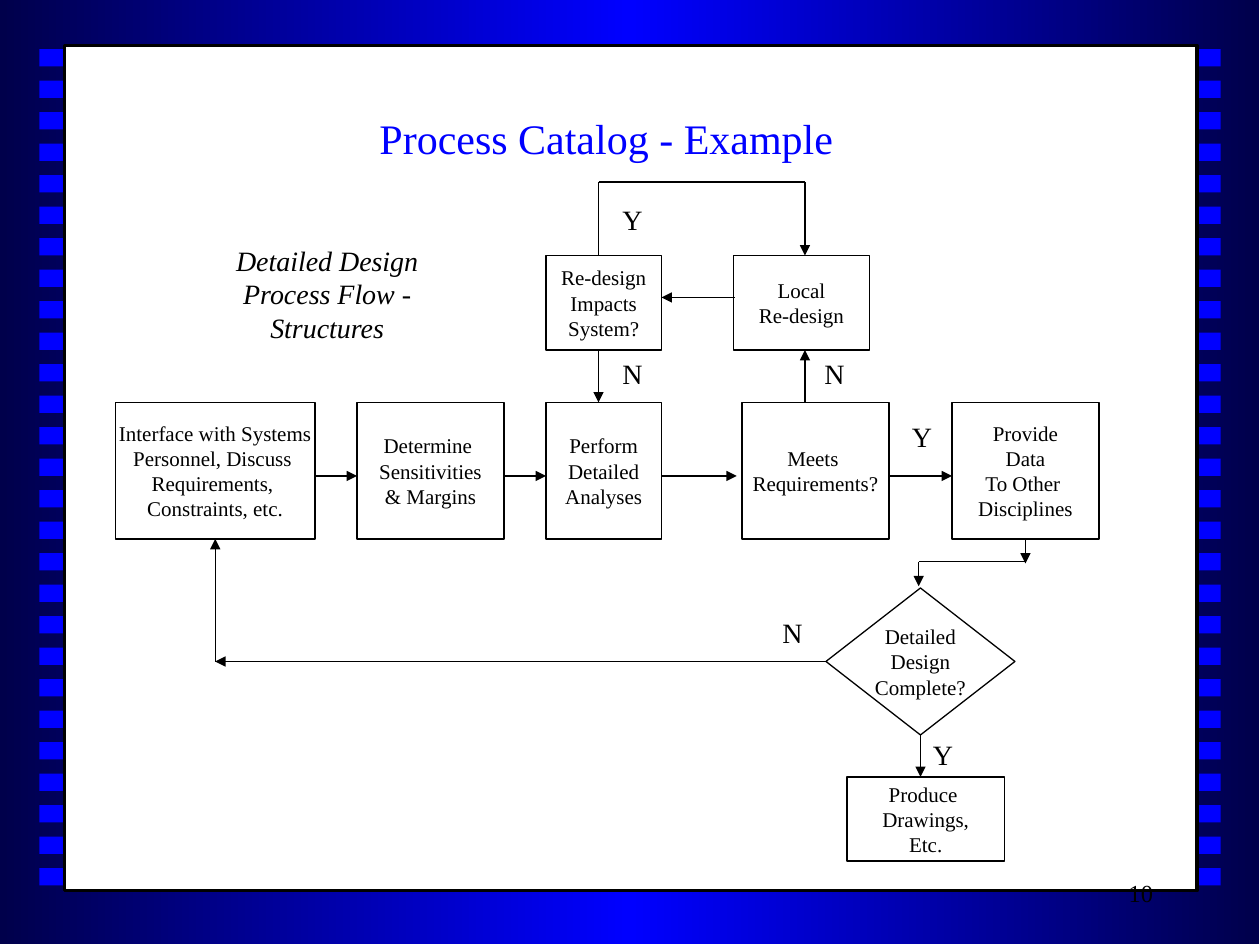
"""Build the process catalog slide with its detailed design flow chart."""
from copy import deepcopy

from lxml.etree import SubElement
from pptx import Presentation
from pptx.dml.color import RGBColor
from pptx.enum.shapes import MSO_CONNECTOR, MSO_SHAPE
from pptx.enum.text import MSO_ANCHOR, MSO_AUTO_SIZE, PP_ALIGN
from pptx.oxml import parse_xml
from pptx.oxml.ns import nsdecls, qn
from pptx.util import Pt

NAVY = RGBColor(0x00, 0x00, 0x4B)
BLUE = RGBColor(0x00, 0x00, 0xFF)
WHITE = RGBColor(0xFF, 0xFF, 0xFF)
BLACK = RGBColor(0x00, 0x00, 0x00)


def add_box(kind, x, y, w, h, fill=None, line=None):
    sp = s.shapes.add_shape(kind, Pt(x), Pt(y), Pt(w), Pt(h))
    sp.shadow.inherit = False
    if fill is None:
        sp.fill.background()
    else:
        sp.fill.solid()
        sp.fill.fore_color.rgb = fill
    if line is None:
        sp.line.fill.background()
    else:
        sp.line.color.rgb = BLACK
        sp.line.width = Pt(line)
    return sp


def write(sp, text, align, size, color=BLACK, italic=None, **frame):
    tf = sp.text_frame
    tf.text = text
    for name, value in frame.items():
        setattr(tf, name, value)
    fmt = {"name": "Times New Roman", "size": Pt(size), "italic": italic}
    for p in tf.paragraphs:
        p.alignment = align
        for r in p.runs:
            r.font.color.rgb = color
            for name, value in fmt.items():
                setattr(r.font, name, value)
    return tf


prs = Presentation()
prs.slide_width, prs.slide_height = Pt(720), Pt(540)
s = prs.slides.add_slide(prs.slide_layouts[6])

backdrop = add_box(MSO_SHAPE.RECTANGLE, 0, 0, 719.5, 539.5)
backdrop.fill.gradient()
backdrop.fill.gradient_angle = 0
first = backdrop.fill.gradient_stops[0]._gs
first.addnext(deepcopy(first))
for stop, (pos, color) in zip(backdrop.fill.gradient_stops, [(0, NAVY), (0.5, BLUE), (1, NAVY)]):
    stop.position = pos
    stop.color.rgb = color

for i in range(27):
    add_box(MSO_SHAPE.RECTANGLE, 22.5, 28 + 18 * i, 675, 10, BLUE)
add_box(MSO_SHAPE.RECTANGLE, 37, 26, 647, 483, WHITE, 2)

title = s.shapes.add_textbox(Pt(126), Pt(32), Pt(441), Pt(64.5))
tf = write(title, "Process Catalog - Example", PP_ALIGN.CENTER, 24, BLUE,
           word_wrap=True, vertical_anchor=MSO_ANCHOR.BOTTOM)
rPr = tf.paragraphs[0].runs[0].font._element
rPr.find(qn("a:solidFill")).addnext(parse_xml(
    f'<a:effectLst {nsdecls("a")}><a:outerShdw dist="17961" dir="2700000">'
    '<a:srgbClr val="000000"/></a:outerShdw></a:effectLst>'))

ROW_Y, ROW_H = 230, 78
TOP_Y, TOP_H = 146, 54
steps = {
    "interface": (66, ROW_Y, 114, ROW_H, "Interface with Systems\nPersonnel, Discuss \nRequirements, \nConstraints, etc."),
    "determine": (204, ROW_Y, 84, ROW_H, "Determine \nSensitivities\n& Margins"),
    "perform": (312, ROW_Y, 66, ROW_H, "Perform\nDetailed\nAnalyses"),
    "meets": (424, ROW_Y, 84, ROW_H, "Meets \nRequirements?"),
    "provide": (544, ROW_Y, 84, ROW_H, "Provide\nData\nTo Other \nDisciplines"),
    "impacts": (312, TOP_Y, 66, TOP_H, "Re-design\nImpacts\nSystem?"),
    "local": (419, TOP_Y, 78, TOP_H, "Local\nRe-design"),
    "complete": (472, 336, 108, 84, "Detailed\nDesign\nComplete?"),
    "produce": (484, 444, 90, 48, "Produce \nDrawings,\nEtc."),
}
boxes = {}
for key, (x, y, w, h, text) in steps.items():
    kind = MSO_SHAPE.DIAMOND if key == "complete" else MSO_SHAPE.RECTANGLE
    boxes[key] = add_box(kind, x, y, w, h, line=0.75)
    write(boxes[key], text, PP_ALIGN.CENTER, 12,
          word_wrap=False, vertical_anchor=MSO_ANCHOR.MIDDLE)

FLOW_Y = 272
LEFT_X, RIGHT_X, LOOP_Y = 342, 460, 104
lines = [
    (180, FLOW_Y, 204, FLOW_Y, True, None, None),
    (288, FLOW_Y, 312, FLOW_Y, True, None, None),
    (378, FLOW_Y, 421, FLOW_Y, True, None, None),
    (508, FLOW_Y, 544, FLOW_Y, True, None, None),
    (RIGHT_X, 230, RIGHT_X, 200, True, None, None),
    (420, 170, 378, 170, True, None, None),
    (LEFT_X, 146, LEFT_X, LOOP_Y, False, None, None),
    (LEFT_X, LOOP_Y, RIGHT_X, LOOP_Y, False, None, None),
    (RIGHT_X, LOOP_Y, RIGHT_X, 146, True, None, None),
    (LEFT_X, 200, LEFT_X, 230, True, None, None),
    (586, 308, 586, 322, True, ("provide", 2), None),
    (586, 321, 525, 321, False, None, None),
    (525, 321, 525, 335, True, None, None),
    (472, 378, 123, 378, True, ("complete", 1), None),
    (123, 378, 123, 308, True, None, ("interface", 2)),
    (526, 420, 526, 444, True, ("complete", 2), None),
]
for x1, y1, x2, y2, arrow, begin, end in lines:
    cn = s.shapes.add_connector(MSO_CONNECTOR.STRAIGHT, Pt(x1), Pt(y1), Pt(x2), Pt(y2))
    cn.line.color.rgb = BLACK
    cn.line.width = Pt(0.75)
    if arrow:
        SubElement(cn.line._get_or_add_ln(), qn("a:tailEnd"), type="triangle")
    SubElement(cn._element.spPr, qn("a:effectLst"))
    if begin:
        cn.begin_connect(boxes[begin[0]], begin[1])
    if end:
        cn.end_connect(boxes[end[0]], end[1])

for text, x, y in [("N", 440, 348), ("Y", 526, 418), ("Y", 514, 236),
                   ("N", 464, 200), ("N", 348.5, 200), ("Y", 348.5, 112)]:
    label = s.shapes.add_textbox(Pt(x), Pt(y), Pt(26), Pt(26.5))
    write(label, text, PP_ALIGN.LEFT, 16, word_wrap=False,
          auto_size=MSO_AUTO_SIZE.SHAPE_TO_FIT_TEXT)

subtitle = s.shapes.add_textbox(Pt(101), Pt(135.5), Pt(172), Pt(65))
write(subtitle, "Detailed Design Process Flow - Structures", PP_ALIGN.CENTER, 16,
      italic=True, word_wrap=True, auto_size=MSO_AUTO_SIZE.SHAPE_TO_FIT_TEXT)

number = s.shapes.add_textbox(Pt(516), Pt(492), Pt(150), Pt(36))
write(number, "10", PP_ALIGN.RIGHT, 14, word_wrap=True, vertical_anchor=MSO_ANCHOR.MIDDLE)

prs.save("out.pptx")
